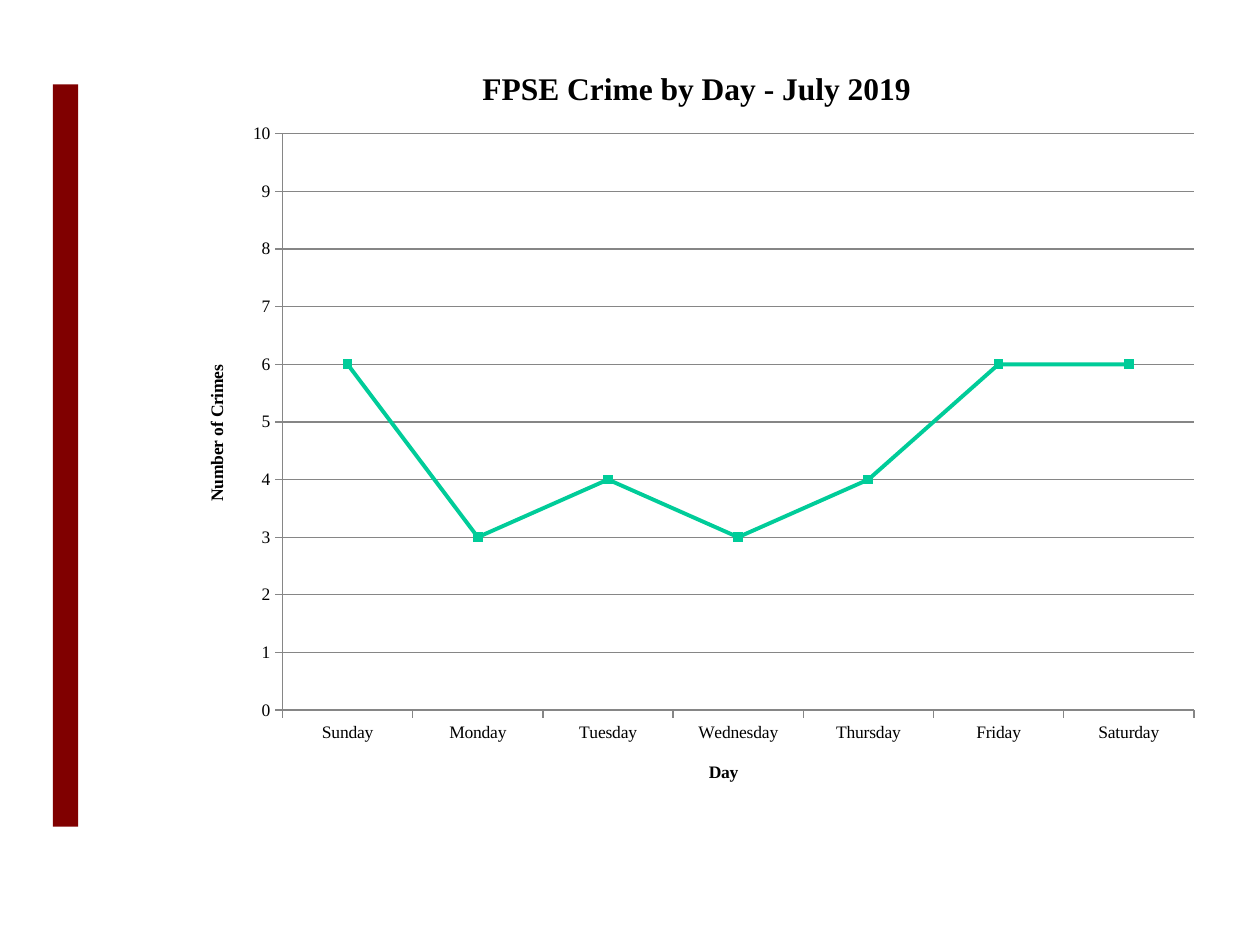
from lxml import etree
from pptx import Presentation
from pptx.chart.data import CategoryChartData
from pptx.dml.color import RGBColor
from pptx.enum.chart import XL_CHART_TYPE, XL_MARKER_STYLE, XL_TICK_MARK
from pptx.enum.shapes import MSO_SHAPE
from pptx.oxml.ns import qn
from pptx.util import Inches, Pt

LINE_MARKERS = XL_CHART_TYPE.LINE_MARKERS
SQUARE = XL_MARKER_STYLE.SQUARE
OUTSIDE = XL_TICK_MARK.OUTSIDE
RECTANGLE = MSO_SHAPE.RECTANGLE

THEME = {
    "font": "Times New Roman",
    "text": RGBColor(0x00, 0x00, 0x00),
    "accent": RGBColor(0x80, 0x00, 0x00),
    "crimes": RGBColor(0x00, 0xCC, 0x99),
    "grid": RGBColor(0x86, 0x86, 0x86),
    "title_size": Pt(18),
    "label_size": Pt(10),
}


def set_title(owner, wording, size):
    frame = owner.text_frame
    frame.text = wording
    font = frame.paragraphs[0].runs[0].font
    font.name = THEME["font"]
    font.size = size
    font.bold = True
    font.color.rgb = THEME["text"]


deck = Presentation()
deck.slide_width = Inches(10)
deck.slide_height = Inches(7.5)
slide = deck.slides.add_slide(deck.slide_layouts[6])

side_bar = slide.shapes.add_shape(
    RECTANGLE, Inches(0.42), Inches(0.67), Inches(0.2), Inches(5.89)
)
side_bar.shadow.inherit = False
side_bar.fill.solid()
side_bar.fill.fore_color.rgb = THEME["accent"]
side_bar.line.fill.background()

crime_data = CategoryChartData()
crime_data.categories = [
    "Sunday", "Monday", "Tuesday", "Wednesday", "Thursday", "Friday", "Saturday",
]
crime_data.add_series("Series 1", (6, 3, 4, 3, 4, 6, 6))

crime_chart = slide.shapes.add_chart(
    LINE_MARKERS, Inches(1.42), Inches(0.33), Inches(8.22), Inches(6.1), crime_data
).chart
crime_chart.has_legend = False
crime_chart.font.name = THEME["font"]
crime_chart.font.size = THEME["label_size"]
crime_chart.font.color.rgb = THEME["text"]
crime_chart.has_title = True
set_title(crime_chart.chart_title, "FPSE Crime by Day - July 2019", THEME["title_size"])

plot_area = crime_chart.plots[0]._element.getparent()
for automatic_layout in plot_area.findall(qn("c:layout")):
    plot_area.remove(automatic_layout)
plot_layout = etree.Element(qn("c:layout"))
manual_layout = etree.SubElement(plot_layout, qn("c:manualLayout"))
for tag, setting in (
    ("layoutTarget", "inner"), ("xMode", "edge"), ("yMode", "edge"),
    ("x", "0.1"), ("y", "0.12"), ("w", "0.88"), ("h", "0.75"),
):
    etree.SubElement(manual_layout, qn(f"c:{tag}")).set("val", setting)
plot_area.insert(0, plot_layout)

day_axis = crime_chart.category_axis
count_axis = crime_chart.value_axis
for axis, wording in ((day_axis, "Day"), (count_axis, "Number of Crimes")):
    axis.has_title = True
    set_title(axis.axis_title, wording, THEME["label_size"])
    axis.major_tick_mark = OUTSIDE
    axis.format.line.color.rgb = THEME["grid"]
    axis.format.line.width = Pt(0.75)

count_axis.minimum_scale = 0
count_axis.maximum_scale = 10
count_axis.major_unit = 1
count_axis.has_major_gridlines = True
count_axis.major_gridlines.format.line.color.rgb = THEME["grid"]
count_axis.major_gridlines.format.line.width = Pt(0.75)

crime_chart.plots[0].vary_by_categories = False
crimes = crime_chart.plots[0].series[0]
crimes.smooth = False
crimes.format.line.color.rgb = THEME["crimes"]
crimes.format.line.width = Pt(2.25)
crimes.marker.style = SQUARE
crimes.marker.size = 5
crimes.marker.format.fill.solid()
crimes.marker.format.fill.fore_color.rgb = THEME["crimes"]
crimes.marker.format.line.color.rgb = THEME["crimes"]

deck.save("out.pptx")
